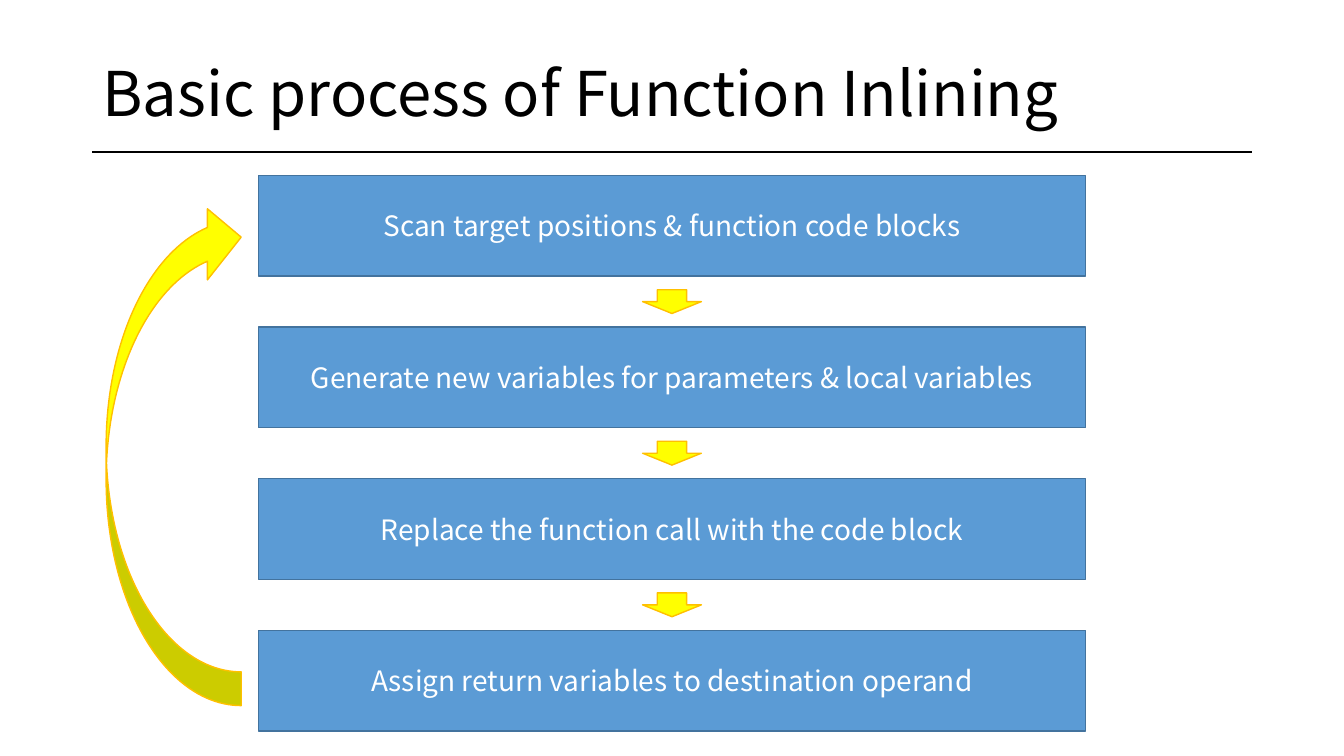
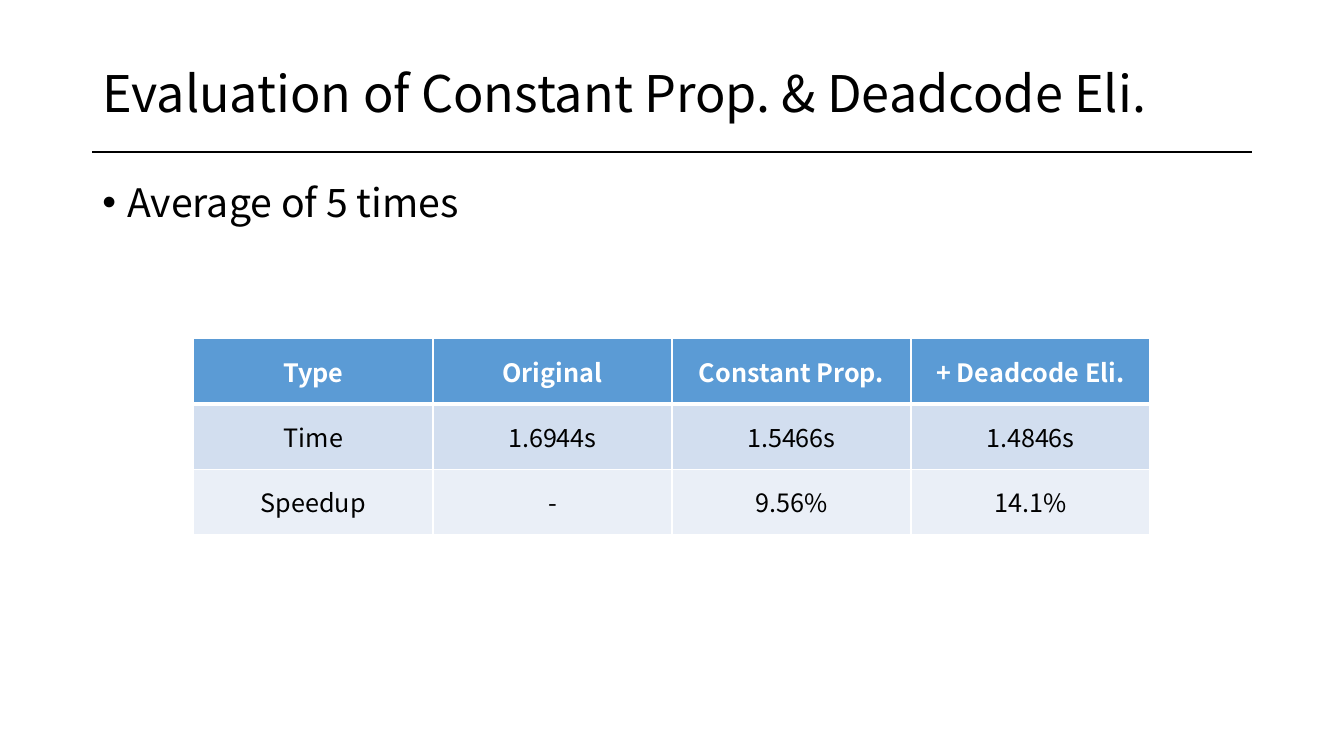
from dataclasses import dataclass
from typing import Any

from lxml.etree import SubElement
from pptx import Presentation
from pptx.dml.color import RGBColor
from pptx.enum.shapes import MSO_CONNECTOR, MSO_SHAPE
from pptx.enum.text import MSO_ANCHOR, MSO_AUTO_SIZE, PP_ALIGN
from pptx.oxml.ns import qn
from pptx.util import Pt

BLACK = RGBColor(0x00, 0x00, 0x00)
WHITE = RGBColor(0xFF, 0xFF, 0xFF)
BLUE = RGBColor(0x5B, 0x9B, 0xD5)
DARK_BLUE = RGBColor(0x43, 0x73, 0x9E)
YELLOW = RGBColor(0xFF, 0xFF, 0x00)
GOLD = RGBColor(0xFF, 0xC0, 0x00)
BAND_DARK = RGBColor(0xD2, 0xDE, 0xEF)
BAND_LIGHT = RGBColor(0xEA, 0xEF, 0xF7)

FONT = "Noto Sans CJK KR"
SLIDE_WIDTH, SLIDE_HEIGHT = 960, 540
MARGIN = 66
CONTENT_WIDTH = SLIDE_WIDTH - 2 * MARGIN
RULE_TOP = 108.7

STEPS = (
    "Scan target positions & function code blocks",
    "Generate new variables for parameters & local variables",
    "Replace the function call with the code block",
    "Assign return variables to destination operand",
)
STEP_WIDTH, STEP_HEIGHT = 591, 72
STEP_TOP, STEP_PITCH = 125.3, 108.3
ARROW_WIDTH, ARROW_HEIGHT = 42, 17

RESULTS = (
    ("Type", "Original", "Constant Prop.", "+ Deadcode Eli."),
    ("Time", "1.6944s", "1.5466s", "1.4846s"),
    ("Speedup", "-", "9.56%", "14.1%"),
)
RESULTS_TOP, RESULTS_WIDTH, ROW_HEIGHT = 242, 683, 46.6


@dataclass(frozen=True)
class Box:
    left: float
    top: float
    width: float
    height: float

    def lengths(self) -> tuple:
        return Pt(self.left), Pt(self.top), Pt(self.width), Pt(self.height)


@dataclass(frozen=True)
class Look:
    fill: RGBColor
    line: RGBColor


@dataclass(frozen=True)
class RowStyle:
    fill: RGBColor
    color: RGBColor
    bold: bool
    top_line: float
    bottom_line: float


STEP_LOOK = Look(BLUE, DARK_BLUE)
ARROW_LOOK = Look(YELLOW, GOLD)
ROW_STYLES = (
    RowStyle(BLUE, WHITE, True, 1, 3),
    RowStyle(BAND_DARK, BLACK, False, 3, 1),
    RowStyle(BAND_LIGHT, BLACK, False, 1, 1),
)


def apply_format(target: Any, values: dict[str, Any]) -> None:
    for name, value in values.items():
        setattr(target, name, value)


def write(frame: Any, text: str, size: float, color: RGBColor,
          align: PP_ALIGN, bold: bool = False, **paragraph_format: Any) -> None:
    frame.text = text
    paragraph = frame.paragraphs[0]
    apply_format(paragraph, {"alignment": align, **paragraph_format})
    font = paragraph.runs[0].font
    apply_format(font, {"name": FONT, "size": Pt(size), "bold": bold})
    font.color.rgb = color


def add_titled_slide(deck: Any, title: str, size: float) -> Any:
    slide = deck.slides.add_slide(deck.slide_layouts[5])
    rule = slide.shapes.add_connector(
        MSO_CONNECTOR.STRAIGHT, Pt(MARGIN), Pt(RULE_TOP),
        Pt(MARGIN + CONTENT_WIDTH), Pt(RULE_TOP))
    rule.line.color.rgb = BLACK
    rule.line.width = Pt(1)
    SubElement(rule.element.spPr, qn("a:effectLst"))
    heading = slide.shapes.title
    left, top, width, height = Box(MARGIN, 28.8, CONTENT_WIDTH, 79.9).lengths()
    apply_format(heading, {"left": left, "top": top, "width": width, "height": height})
    apply_format(heading.text_frame, {
        "vertical_anchor": MSO_ANCHOR.MIDDLE,
        "auto_size": MSO_AUTO_SIZE.NONE,
        "word_wrap": True,
    })
    write(heading.text_frame, title, size, BLACK, PP_ALIGN.LEFT, line_spacing=0.9)
    return slide


def add_figure(slide: Any, kind: MSO_SHAPE, box: Box, look: Look) -> Any:
    figure = slide.shapes.add_shape(kind, *box.lengths())
    figure.shadow.inherit = False
    figure.fill.solid()
    figure.fill.fore_color.rgb = look.fill
    figure.line.color.rgb = look.line
    figure.line.width = Pt(1)
    return figure


def add_process(slide: Any) -> None:
    gap = STEP_PITCH - STEP_HEIGHT
    for index, label in enumerate(STEPS):
        top = STEP_TOP + index * STEP_PITCH
        step = add_figure(
            slide, MSO_SHAPE.RECTANGLE,
            Box((SLIDE_WIDTH - STEP_WIDTH) / 2, top, STEP_WIDTH, STEP_HEIGHT), STEP_LOOK)
        step.text_frame.vertical_anchor = MSO_ANCHOR.MIDDLE
        write(step.text_frame, label, 20, WHITE, PP_ALIGN.CENTER)
        if index:
            arrow_top = top - (gap + ARROW_HEIGHT) / 2
            add_figure(
                slide, MSO_SHAPE.DOWN_ARROW,
                Box((SLIDE_WIDTH - ARROW_WIDTH) / 2, arrow_top, ARROW_WIDTH, ARROW_HEIGHT),
                ARROW_LOOK)
    repeat = add_figure(slide, MSO_SHAPE.CURVED_LEFT_ARROW,
                        Box(75.8, 144, 96.5, 360), ARROW_LOOK)
    repeat.rotation = 180
    for index, value in enumerate((0.25, 0.526, 0.25)):
        repeat.adjustments[index] = value


def add_bullet(slide: Any, text: str) -> None:
    body = slide.shapes.add_textbox(*Box(MARGIN, 127.5, CONTENT_WIDTH, 358.5).lengths())
    body.text_frame.word_wrap = True
    write(body.text_frame, text, 28, BLACK, PP_ALIGN.LEFT,
          line_spacing=0.9, space_before=Pt(10))
    properties = body.text_frame.paragraphs[0]._p.get_or_add_pPr()
    properties.set("marL", str(Pt(18)))
    properties.set("indent", str(-Pt(18)))
    SubElement(properties, qn("a:buFont"), typeface="Arial")
    SubElement(properties, qn("a:buChar"), char="•")


def add_borders(cell: Any, style: RowStyle) -> None:
    properties = cell._tc.get_or_add_tcPr()
    widths = {"lnL": 1, "lnR": 1, "lnT": style.top_line, "lnB": style.bottom_line}
    for edge, width in widths.items():
        border = SubElement(properties, qn(f"a:{edge}"), w=str(Pt(width)))
        paint = SubElement(border, qn("a:solidFill"))
        SubElement(paint, qn("a:srgbClr"), val=str(WHITE))


def add_results(slide: Any) -> None:
    rows, columns = len(RESULTS), len(RESULTS[0])
    box = Box((SLIDE_WIDTH - RESULTS_WIDTH) / 2, RESULTS_TOP,
              RESULTS_WIDTH, rows * ROW_HEIGHT)
    table = slide.shapes.add_table(rows, columns, *box.lengths()).table
    for row, values, style in zip(table.rows, RESULTS, ROW_STYLES):
        row.height = Pt(ROW_HEIGHT)
        for cell, value in zip(row.cells, values):
            add_borders(cell, style)
            cell.fill.solid()
            cell.fill.fore_color.rgb = style.fill
            cell.vertical_anchor = MSO_ANCHOR.MIDDLE
            write(cell.text_frame, value, 18, style.color, PP_ALIGN.CENTER, style.bold)


def main() -> None:
    deck = Presentation()
    apply_format(deck, {"slide_width": Pt(SLIDE_WIDTH), "slide_height": Pt(SLIDE_HEIGHT)})
    add_process(add_titled_slide(deck, "Basic process of Function Inlining", 44))
    evaluation = add_titled_slide(deck, "Evaluation of Constant Prop. & Deadcode Eli.", 36)
    add_results(evaluation)
    add_bullet(evaluation, "Average of 5 times")
    deck.save("out.pptx")


if __name__ == "__main__":
    main()
